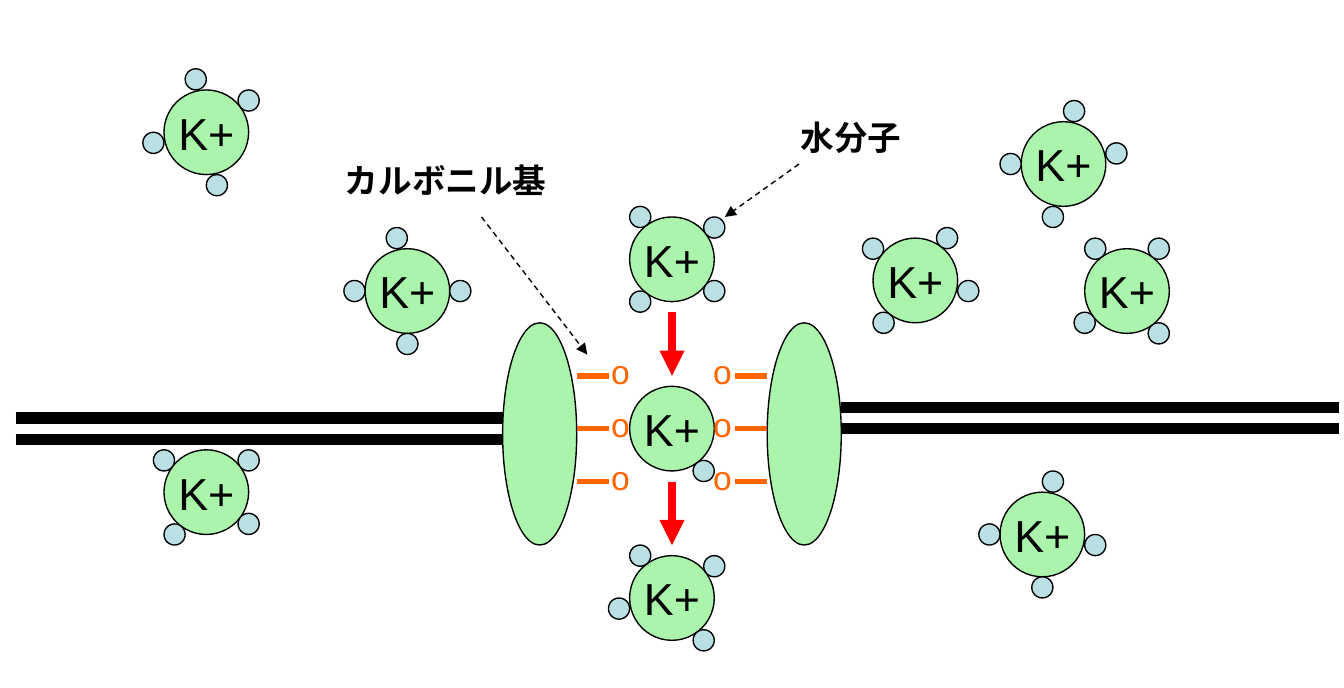
import pptx
import pptx.util
import pptx.dml.color
import pptx.enum.dml
import pptx.enum.shapes
import pptx.enum.text
import pptx.oxml
import pptx.oxml.ns
from pptx.util import Cm

ION_SIZE, WATER_SIZE = 1.6, 0.4
GREEN, WATER_BLUE, ORANGE, RED, BLACK = "AAF4AC", "BBE0E3", "FF6600", "FF0000", "000000"
color = pptx.dml.color.RGBColor.from_string

presentation = pptx.Presentation()
presentation.slide_width, presentation.slide_height = Cm(25.4), Cm(13)
slide = presentation.slides.add_slide(presentation.slide_layouts[6])


def add_ellipse(left, top, width, height, fill):
    shape = slide.shapes.add_shape(
        pptx.enum.shapes.MSO_SHAPE.OVAL, Cm(left), Cm(top), Cm(width), Cm(height))
    shape.shadow.inherit = False
    shape.fill.solid()
    shape.fill.fore_color.rgb = color(fill)
    shape.line.color.rgb = color(BLACK)
    shape.line.width = pptx.util.Pt(0.75)
    return shape


def add_line(start, end, line_color, width, arrow=False, dashed=False):
    connector = slide.shapes.add_connector(
        pptx.enum.shapes.MSO_CONNECTOR.STRAIGHT, *map(Cm, start + end))
    connector.line.color.rgb = color(line_color)
    connector.line.width = pptx.util.Pt(width)
    if dashed:
        connector.line.dash_style = pptx.enum.dml.MSO_LINE.DASH
    properties = connector._element.spPr
    if arrow:
        tail = pptx.oxml.parse_xml(
            f'<a:tailEnd {pptx.oxml.ns.nsdecls("a")} type="triangle"/>')
        connector.line._get_or_add_ln().append(tail)
    properties.append(pptx.oxml.parse_xml(f'<a:effectLst {pptx.oxml.ns.nsdecls("a")}/>'))


# Position of each ion, and of its water molecules relative to it
ions = [
    ((11.9, 7.3), [(1.2, 1.4)]),
    ((11.9, 4.1), [(1.4, 0), (1.4, 1.2), (0, -0.2), (0, 1.4)]),
    ((11.9, 10.5), [(0, -0.2), (1.2, 1.4), (1.4, 0), (-0.4, 0.8)]),
    ((19.3, 2.3), [(0.8, -0.4), (0.4, 1.6), (-0.4, 0.6), (1.6, 0.4)]),
    ((20.5, 4.7), [(-0.2, 1.2), (0, -0.2), (1.2, -0.2), (1.2, 1.4)]),
    ((3.1, 1.7), [(1.4, 0), (0.4, -0.4), (-0.4, 0.8), (0.8, 1.6)]),
    ((16.5, 4.5), [(1.2, -0.2), (0, 1.4), (-0.2, 0), (1.6, 0.8)]),
    ((6.9, 4.7), [(0.4, -0.4), (1.6, 0.6), (-0.4, 0.6), (0.6, 1.6)]),
    ((3.1, 8.5), [(0, 1.4), (-0.2, 0), (1.4, 1.2), (1.4, 0)]),
    ((18.9, 9.3), [(0.8, -0.4), (-0.4, 0.6), (1.6, 0.8), (0.6, 1.6)]),
]
for (left, top), waters in ions:
    ion = add_ellipse(left, top, ION_SIZE, ION_SIZE, GREEN)
    ion.text_frame.word_wrap = False
    ion.text_frame.vertical_anchor = pptx.enum.text.MSO_ANCHOR.MIDDLE
    paragraph = ion.text_frame.paragraphs[0]
    paragraph.text = "K+"
    paragraph.alignment = pptx.enum.text.PP_ALIGN.CENTER
    paragraph.font.name = "Arial"
    paragraph.font.size = pptx.util.Pt(24)
    paragraph.font.color.rgb = color(BLACK)
    for across, down in waters:
        add_ellipse(left + across, top + down, WATER_SIZE, WATER_SIZE, WATER_BLUE)

# Channel protein in the double membrane
for left in (9.5, 14.5):
    add_ellipse(left, 6.1, 1.4, 4.2, GREEN)
for start, end, top in ((0.3, 9.5, 7.9), (15.9, 25.3, 7.7)):
    for layer in (top, top + 0.4):
        add_line((start, layer), (end, layer), BLACK, 6)

# Carbonyl groups along the pore, then the two labels
labels = [("カルボニル基", 6.27, 2.9, 4.32, BLACK, True),
          ("水分子", 14.88, 2.08, 2.41, BLACK, True)]
for row in (7.1, 8.1, 9.1):
    for bond_left, oxygen_left in ((10.9, 11.3), (13.9, 13.23)):
        add_line((bond_left, row), (bond_left + 0.6, row), ORANGE, 3)
        labels.append(("o", oxygen_left, row - 0.6, 0.86, ORANGE, False))

for text, left, top, width, text_color, bold in labels:
    box = slide.shapes.add_textbox(Cm(left), Cm(top), Cm(width), Cm(1.02))
    box.text_frame.word_wrap = False
    box.text_frame.auto_size = pptx.enum.text.MSO_AUTO_SIZE.SHAPE_TO_FIT_TEXT
    paragraph = box.text_frame.paragraphs[0]
    paragraph.text = text
    paragraph.font.name = "Arial"
    paragraph.font.size = pptx.util.Pt(18)
    paragraph.font.bold = bold
    paragraph.font.color.rgb = color(text_color)

# Path of the ion, and pointers from the labels
for top in (5.9, 9.1):
    add_line((12.7, top), (12.7, top + 1.2), RED, 4.5, arrow=True)
add_line((9.1, 4.1), (11.1, 6.7), BLACK, 0.75, arrow=True, dashed=True)
add_line((15.1, 3.1), (13.7, 4.1), BLACK, 0.75, arrow=True, dashed=True)

presentation.save("out.pptx")
